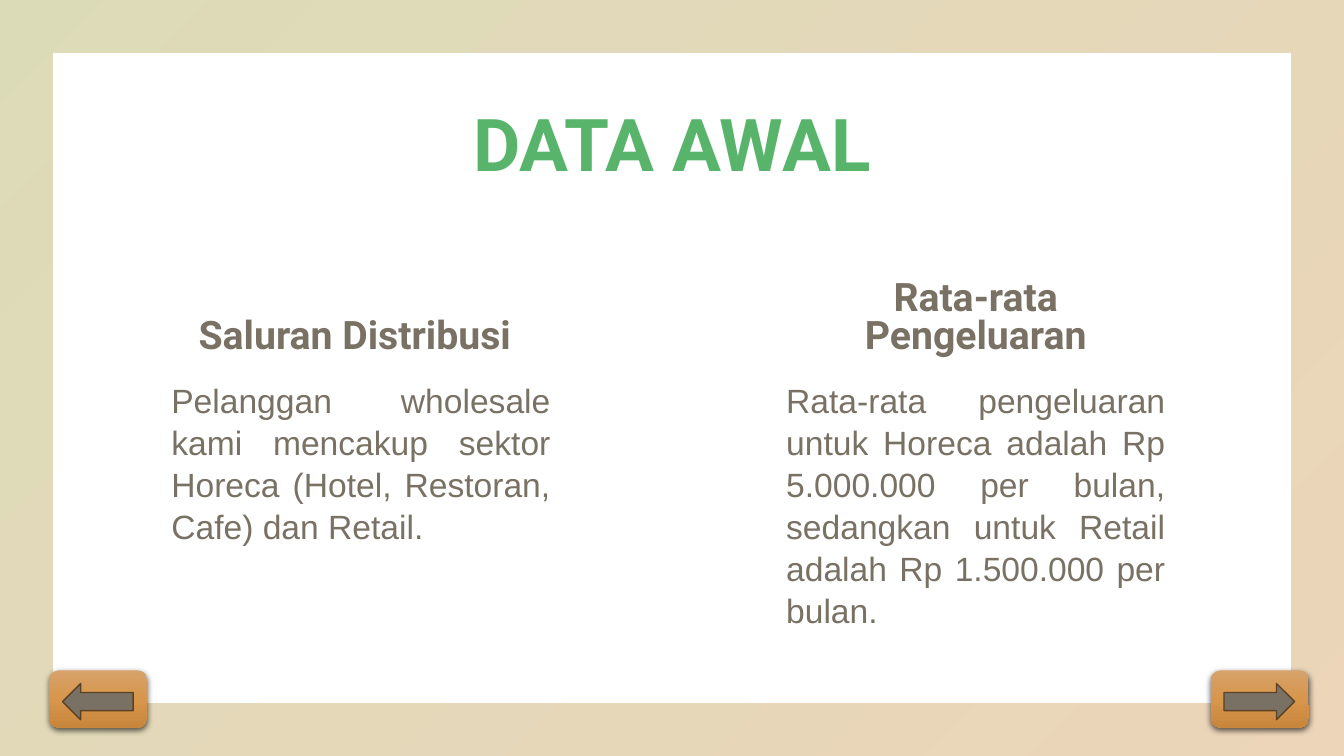
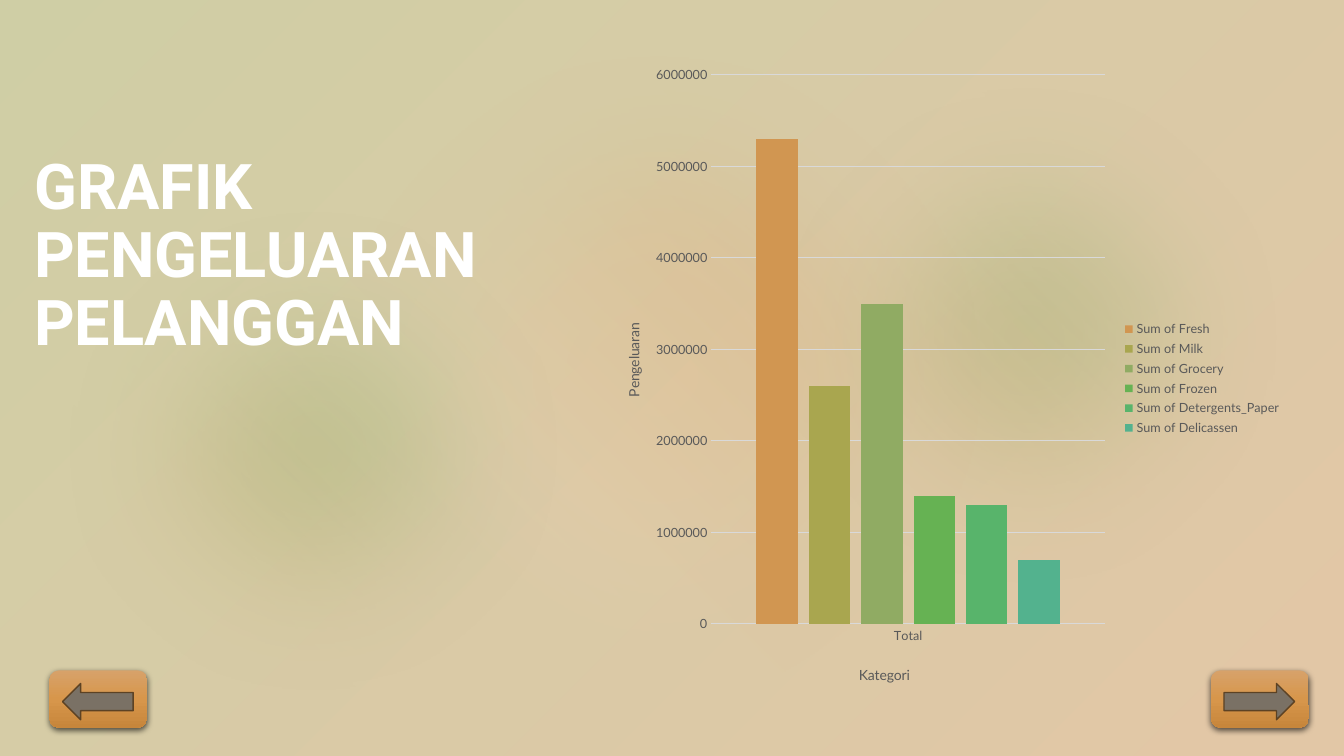
from dataclasses import dataclass

import pptx
import pptx.chart.data
import pptx.dml.color
import pptx.enum.chart
import pptx.enum.shapes
import pptx.enum.text
import pptx.oxml
import pptx.oxml.ns
import pptx.util

SHAPE = pptx.enum.shapes.MSO_SHAPE
ALIGN = pptx.enum.text.PP_ALIGN
ANCHOR = pptx.enum.text.MSO_ANCHOR
Pt = pptx.util.Pt
qn = pptx.oxml.ns.qn


@dataclass(frozen=True)
class Theme:
    """Colours, fonts and type sizes shared by the slides."""
    green: str = "58B46B"
    orange: str = "D19651"
    olive: str = "A9A64F"
    cream: str = "F6EADC"
    mist: str = "E2E5E8"
    white: str = "FFFFFF"
    taupe: str = "7A7165"
    brown: str = "5C4224"
    axis_text: str = "595959"
    grid: str = "D9D9D9"
    button: tuple = ("D7A26A", "D7964B", "C7863B")
    series: tuple = ("D19651", "A9A64F", "90AB63", "66B253", "58B46B", "53B28E")
    display: str = "Roboto"
    body: str = "Arial"
    chart: str = "Lato"
    title_size: int = 52
    side_title_size: int = 45
    heading_size: int = 28
    body_size: int = 24
    axis_title_size: int = 10
    label_size: int = 9


THEME = Theme()


@dataclass(frozen=True)
class Box:
    """A rectangle in EMU whose regions are given in percent."""
    left: int
    top: int
    width: int
    height: int

    def region(self, left, top, width, height):
        """Return the box at the given percentages of this one."""
        return Box(int(self.left + self.width * left / 100),
                   int(self.top + self.height * top / 100),
                   int(self.width * width / 100),
                   int(self.height * height / 100))

    def bounds(self):
        """Return left, top, width and height."""
        return self.left, self.top, self.width, self.height


PAGE = Box(0, 0, pptx.util.Inches(40 / 3), pptx.util.Inches(7.5))


def rgb(colour):
    """Turn a hex string into a colour."""
    return pptx.dml.color.RGBColor.from_string(colour)


def element(markup):
    """Build one drawing element from its markup."""
    head, tail = markup.split(" ", 1)
    return pptx.oxml.parse_xml(f"{head} {pptx.oxml.ns.nsdecls('a', 'c')} {tail}")


def gradient(shape, stops, angle=45):
    """Fill a shape with evenly spaced (colour, opacity) stops."""
    shape.fill.gradient()
    fill = shape.element.spPr.find(qn("a:gradFill"))
    for child in list(fill):
        fill.remove(child)
    marks = "".join(
        f'<a:gs pos="{100000 * i // (len(stops) - 1)}"><a:srgbClr val="{colour}">'
        f'<a:alpha val="{opacity * 1000}"/></a:srgbClr></a:gs>'
        for i, (colour, opacity) in enumerate(stops))
    fill.append(element(f"<a:gsLst >{marks}</a:gsLst>"))
    fill.append(element(f'<a:lin ang="{angle * 60000}" scaled="0"/>'))


def add_shape(slide, kind, box, stops, angle=45, outline=None, effect=None):
    """Place a preset shape with its fill, outline and effect."""
    shape = slide.shapes.add_shape(kind, *box.bounds())
    shape.shadow.inherit = False
    if len(stops) > 1:
        gradient(shape, stops, angle)
    else:
        colour, opacity = stops[0]
        shape.fill.solid()
        shape.fill.fore_color.rgb = rgb(colour)
        shape.element.spPr.find(qn("a:solidFill"))[0].append(
            element(f'<a:alpha val="{opacity * 1000}"/>'))
    if outline:
        shape.line.color.rgb = rgb(outline)
        shape.line.width = Pt(1)
    else:
        shape.line.fill.background()
    if effect:
        shape.element.spPr.find(qn("a:effectLst")).append(element(effect))
    return shape


def add_text(slide, box, text, size, colour, font=THEME.display, bold=True,
             align=ALIGN.LEFT, anchor=ANCHOR.TOP, spacing=0.9, inset=True):
    """Place one paragraph of formatted text."""
    frame = slide.shapes.add_textbox(*box.bounds()).text_frame
    frame.word_wrap = True
    frame.vertical_anchor = anchor
    if not inset:
        frame.margin_left = frame.margin_right = 0
        frame.margin_top = frame.margin_bottom = 0
    paragraph = frame.paragraphs[0]
    paragraph.alignment = align
    paragraph.line_spacing = spacing
    run = paragraph.add_run()
    run.text = text
    style_font(run.font, size, colour, font, bold)


def style_font(font, size, colour, name=THEME.chart, bold=False):
    """Set size, colour, typeface and weight."""
    font.size, font.name, font.bold = Pt(size), name, bold
    font.color.rgb = rgb(colour)


def navigation(slide, page):
    """Place the back and forward buttons."""
    shadow = ('<a:outerShdw blurRad="57150" dist="19050" dir="5400000" algn="ctr" '
              'rotWithShape="0"><a:srgbClr val="000000"><a:alpha val="63000"/>'
              '</a:srgbClr></a:outerShdw>')
    for left, arrow in ((90.1, SHAPE.RIGHT_ARROW), (3.68, SHAPE.LEFT_ARROW)):
        button = page.region(left, 88.67, 7.28, 7.6)
        add_shape(slide, SHAPE.FLOWCHART_ALTERNATE_PROCESS, button,
                  [(colour, 100) for colour in THEME.button], 90, effect=shadow)
        add_shape(slide, arrow, button.region(13.4, 22.8, 72.2, 63.2),
                  [(THEME.taupe, 100)], outline=THEME.brown)


def fact_column(slide, box, heading, body, indent=0, align=ALIGN.CENTER):
    """Place a heading resting above a justified paragraph."""
    add_text(slide, box.region(indent, 0, 100 - indent, 21.75), heading,
             THEME.heading_size, THEME.taupe, align=align,
             anchor=ANCHOR.BOTTOM, spacing=Pt(27.5), inset=False)
    add_text(slide, box.region(0, 27.4, 100, 72.6), body, THEME.body_size,
             THEME.taupe, font=THEME.body, bold=False, align=ALIGN.JUSTIFY,
             spacing=Pt(30), inset=False)


def facts_slide(slide, page):
    """Build the framed slide with two columns of facts."""
    frame = add_shape(slide, SHAPE.FRAME, page,
                      [(THEME.olive, 40), (THEME.orange, 40)])
    frame.adjustments[0] = 0.07
    add_text(slide, page.region(6.87, 9.87, 86.26, 19.33), "DATA AWAL",
             THEME.title_size, THEME.green, align=ALIGN.CENTER,
             anchor=ANCHOR.MIDDLE)
    fact_column(slide, page.region(12.75, 37.07, 28.2, 47.2), "Saluran Distribusi",
                "Pelanggan wholesale kami mencakup sektor Horeca "
                "(Hotel, Restoran, Cafe) dan Retail.",
                indent=7.2, align=ALIGN.LEFT)
    fact_column(slide, page.region(58.5, 37.07, 28.2, 47.2), "Rata-rata Pengeluaran",
                "Rata-rata pengeluaran untuk Horeca adalah Rp 5.000.000 per bulan, "
                "sedangkan untuk Retail adalah Rp 1.500.000 per bulan.")
    navigation(slide, page)


def backdrop(slide, page):
    """Lay the tinted ground and its soft glows."""
    add_shape(slide, SHAPE.RECTANGLE, page, [(THEME.olive, 60), (THEME.orange, 60)])
    add_shape(slide, SHAPE.RECTANGLE, page, [(THEME.mist, 20)])
    glows = (
        ((20.85, 0, 56.25, 100), ((THEME.cream, 40), (THEME.orange, 40))),
        ((0.6, 17.47, 45.84, 83.73), ((THEME.orange, 40), (THEME.green, 20))),
        ((52.8, 2.8, 47.25, 83.73), ((THEME.orange, 20), (THEME.green, 40))),
    )
    for place, stops in glows:
        glow = add_shape(slide, SHAPE.OVAL, page.region(*place), stops,
                         effect='<a:softEdge rad="1270000"/>')
        glow.rotation = 270


def manual_layout(x, y, width=None, height=None):
    """Describe a fixed place inside a chart, in shares of its size."""
    inner = "" if width is None else '<c:layoutTarget val="inner"/>'
    size = "" if width is None else f'<c:w val="{width}"/><c:h val="{height}"/>'
    return element(f'<c:layout ><c:manualLayout>{inner}<c:xMode val="edge"/>'
                   f'<c:yMode val="edge"/><c:x val="{x}"/><c:y val="{y}"/>{size}'
                   '</c:manualLayout></c:layout>')


def place_in_chart(parent, layout, after=None):
    """Give a chart element a fixed layout, replacing any earlier one."""
    for earlier in parent.findall(qn("c:layout")):
        parent.remove(earlier)
    if after is None:
        parent.insert(0, layout)
    else:
        parent.find(qn(after)).addnext(layout)


def style_axis(axis, title, x, y):
    """Format an axis and put its title at a share of the chart."""
    axis.major_tick_mark = axis.minor_tick_mark = pptx.enum.chart.XL_TICK_MARK.NONE
    style_font(axis.tick_labels.font, THEME.label_size, THEME.axis_text)
    frame = axis.axis_title.text_frame
    frame.text = title
    style_font(frame.paragraphs[0].runs[0].font, THEME.axis_title_size,
               THEME.axis_text)
    place_in_chart(axis.axis_title._element, manual_layout(x, y), "c:tx")


def style_line(line):
    """Draw a thin grey chart line."""
    line.color.rgb = rgb(THEME.grid)
    line.width = Pt(0.75)


def spending_chart(slide, box):
    """Place the column chart of spending by category."""
    spending = {"Fresh": 5300000, "Milk": 2600000, "Grocery": 3500000,
                "Frozen": 1400000, "Detergents_Paper": 1300000,
                "Delicassen": 700000}
    data = pptx.chart.data.CategoryChartData()
    data.categories = ["Total"]
    for category, amount in spending.items():
        data.add_series(f"Sum of {category}", [amount])
    chart = slide.shapes.add_chart(
        pptx.enum.chart.XL_CHART_TYPE.COLUMN_CLUSTERED, *box.bounds(), data).chart
    style_font(chart.font, THEME.axis_title_size, THEME.axis_text)
    chart.has_title = False
    chart.has_legend = True
    chart.legend.position = pptx.enum.chart.XL_LEGEND_POSITION.RIGHT
    chart.legend.include_in_layout = False
    style_font(chart.legend.font, THEME.label_size, THEME.axis_text)
    plot = chart.plots[0]
    plot.vary_by_categories = False
    plot.gap_width, plot.overlap = 219, -27
    for series, colour in zip(plot.series, THEME.series):
        series.format.fill.solid()
        series.format.fill.fore_color.rgb = rgb(colour)
    style_axis(chart.category_axis, "Kategori", 0.37, 0.94)
    style_line(chart.category_axis.format.line)
    amounts = chart.value_axis
    style_axis(amounts, "Pengeluaran", 0.03, 0.41)
    amounts.minimum_scale, amounts.maximum_scale = 0, 6000000
    amounts.major_unit = 1000000
    amounts.format.line.fill.background()
    style_line(amounts.major_gridlines.format.line)
    place_in_chart(chart._chartSpace.chart.plotArea,
                   manual_layout(0.16, 0.03, 0.57, 0.85))


def chart_slide(slide, page):
    """Build the slide with a side title and the spending chart."""
    backdrop(slide, page)
    add_text(slide, page.region(1.8, 7.33, 39, 40.8), "GRAFIK PENGELUARAN PELANGGAN",
             THEME.side_title_size, THEME.white, anchor=ANCHOR.BOTTOM)
    spending_chart(slide, page.region(44.7, 7.33, 51.4, 85.47))
    navigation(slide, page)


def main():
    """Build and save the presentation."""
    deck = pptx.Presentation()
    deck.slide_width, deck.slide_height = PAGE.width, PAGE.height
    for build in (facts_slide, chart_slide):
        build(deck.slides.add_slide(deck.slide_layouts[6]), PAGE)
    deck.save("out.pptx")


if __name__ == "__main__":
    main()
